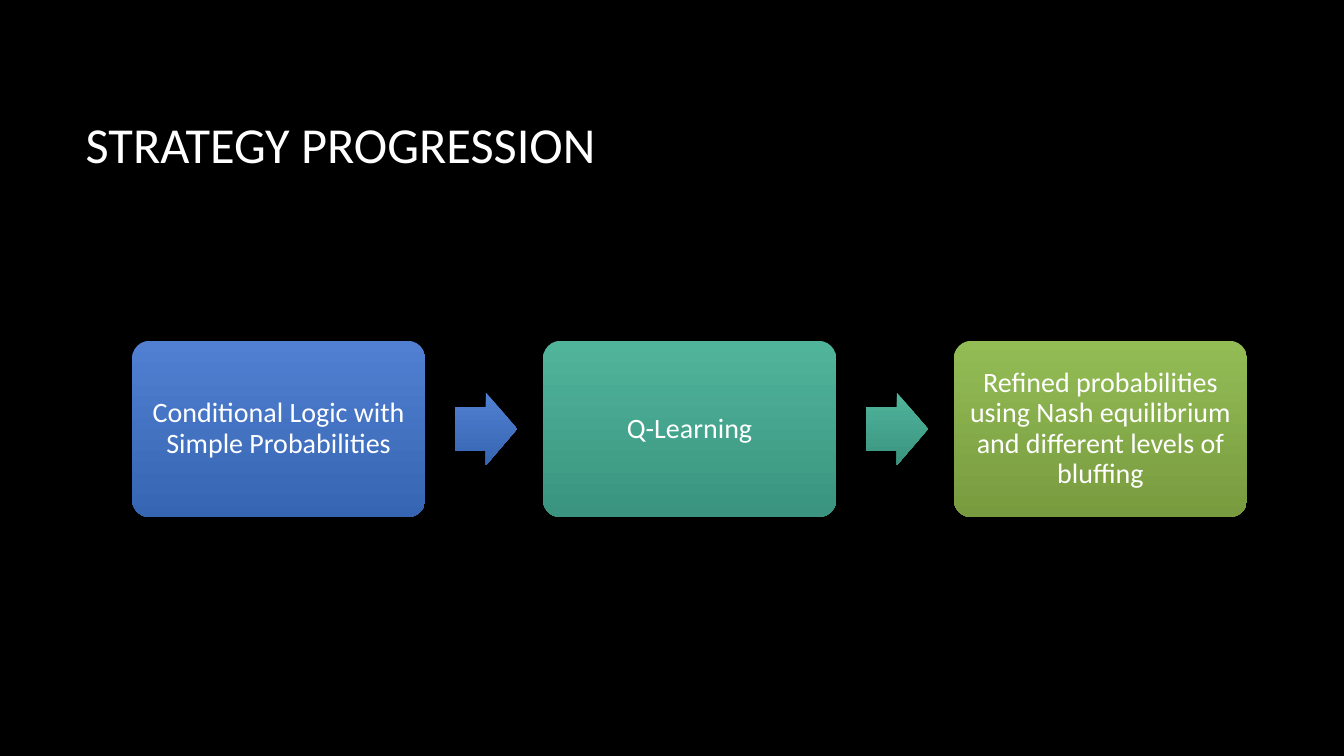
from pptx import Presentation
from pptx.dml.color import RGBColor
from pptx.enum.shapes import MSO_SHAPE as Shape
from pptx.enum.text import MSO_ANCHOR as Anchor, PP_ALIGN as Align
from pptx.util import Pt

FONT = "Calibri"
COLORS = {
    "background": "000000",
    "text": "FFFFFF",
    "blue": ("5180D2", "3665B3"),
    "teal": ("50B49B", "3A947F"),
    "green": ("93BC55", "789B3F"),
}
STEPS = [
    ("Conditional Logic with Simple Probabilities", "blue"),
    ("Q-Learning", "teal"),
    ("Refined probabilities using Nash equilibrium and different levels of bluffing", "green"),
]
BOX_LEFT, BOX_TOP, BOX_W, BOX_H = 94.3, 243.4, 209.5, 126
PITCH = 293.5
ARROW_GAP, ARROW_W, ARROW_H = 21, 44.6, 52


class Deck:
    def __init__(self):
        self.prs = Presentation()
        self.prs.slide_width, self.prs.slide_height = Pt(960), Pt(540)
        self.slide = self.prs.slides.add_slide(self.prs.slide_layouts[5])
        fill = self.slide.background.fill
        fill.solid()
        fill.fore_color.rgb = RGBColor.from_string(COLORS["background"])

    def set_text(self, sp, text, size, align):
        tf = sp.text_frame
        tf.text = text
        tf.word_wrap = True
        tf.vertical_anchor = Anchor.MIDDLE
        p = tf.paragraphs[0]
        p.alignment = align
        p.line_spacing = 0.9
        font = p.runs[0].font
        font.name, font.size = FONT, Pt(size)
        font.color.rgb = RGBColor.from_string(COLORS["text"])

    def title(self, text, left, top, width, height):
        sp = self.slide.shapes.title
        sp.left, sp.top, sp.width, sp.height = map(Pt, (left, top, width, height))
        self.set_text(sp, text, 36, Align.LEFT)

    def shape(self, kind, color, adjustments, *box):
        """Add a borderless shape shaded from top to bottom; box is left, top, width, height."""
        sp = self.slide.shapes.add_shape(kind, *map(Pt, box))
        sp.shadow.inherit = False
        sp.line.fill.background()
        for i, value in enumerate(adjustments):
            sp.adjustments[i] = value
        sp.fill.gradient()
        sp.fill.gradient_angle = 270
        for stop, shade in zip(sp.fill.gradient_stops, COLORS[color]):
            stop.color.rgb = RGBColor.from_string(shade)
        return sp

    def step(self, text, color, left):
        sp = self.shape(Shape.ROUNDED_RECTANGLE, color, [0.1], left, BOX_TOP, BOX_W, BOX_H)
        tf = sp.text_frame
        tf.margin_left = tf.margin_right = tf.margin_top = tf.margin_bottom = Pt(5.8)
        self.set_text(sp, text, 20, Align.CENTER)

    def arrow(self, color, left):
        top = BOX_TOP + (BOX_H - ARROW_H) / 2
        self.shape(Shape.RIGHT_ARROW, color, [0.6, 0.5], left, top, ARROW_W, ARROW_H)


def main():
    deck = Deck()
    deck.title("STRATEGY PROGRESSION", 54, 48, 798, 114.5)
    for i, (text, color) in enumerate(STEPS):
        left = BOX_LEFT + i * PITCH
        deck.step(text, color, left)
        if i < len(STEPS) - 1:
            deck.arrow(color, left + BOX_W + ARROW_GAP)
    deck.prs.save("out.pptx")


if __name__ == "__main__":
    main()
